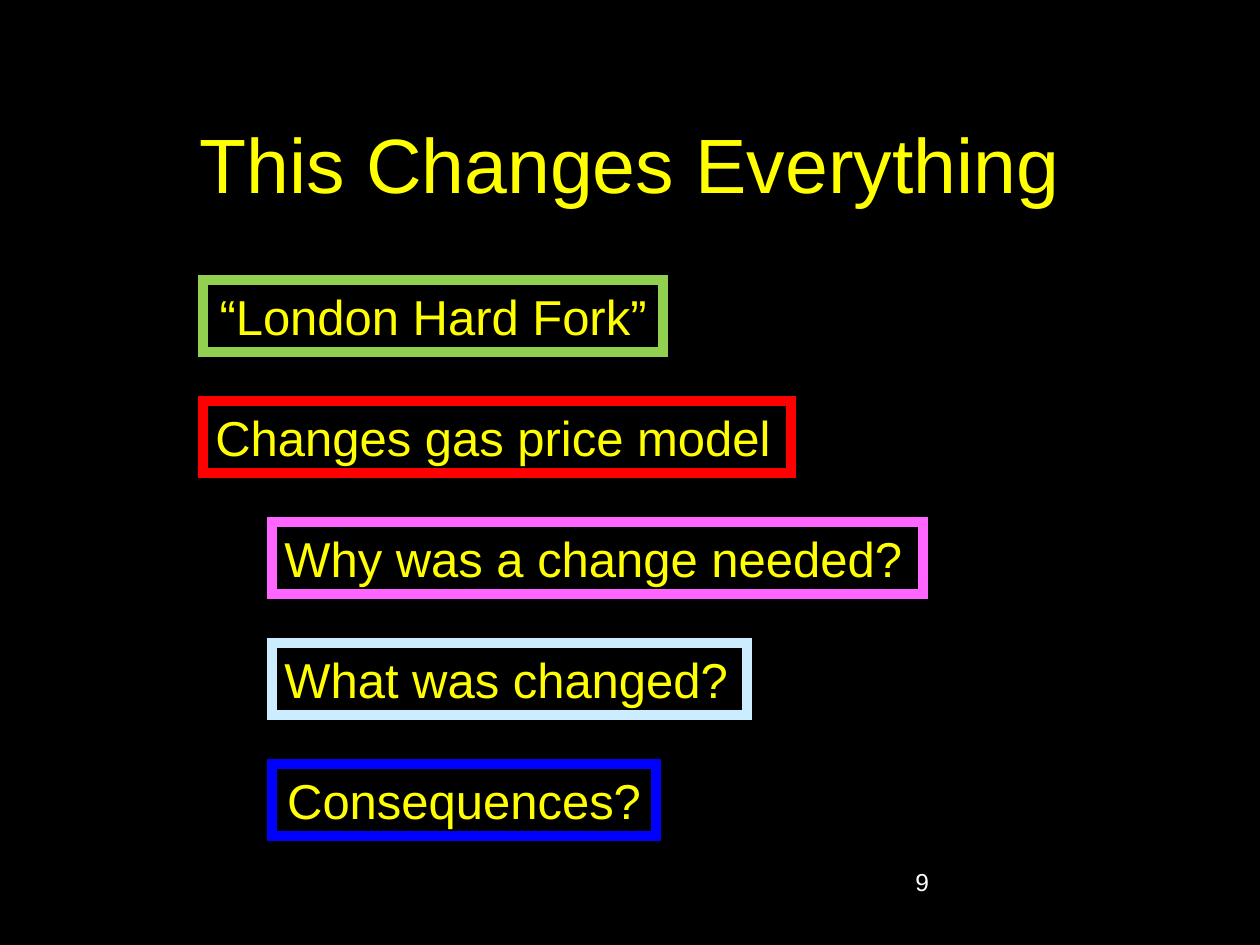
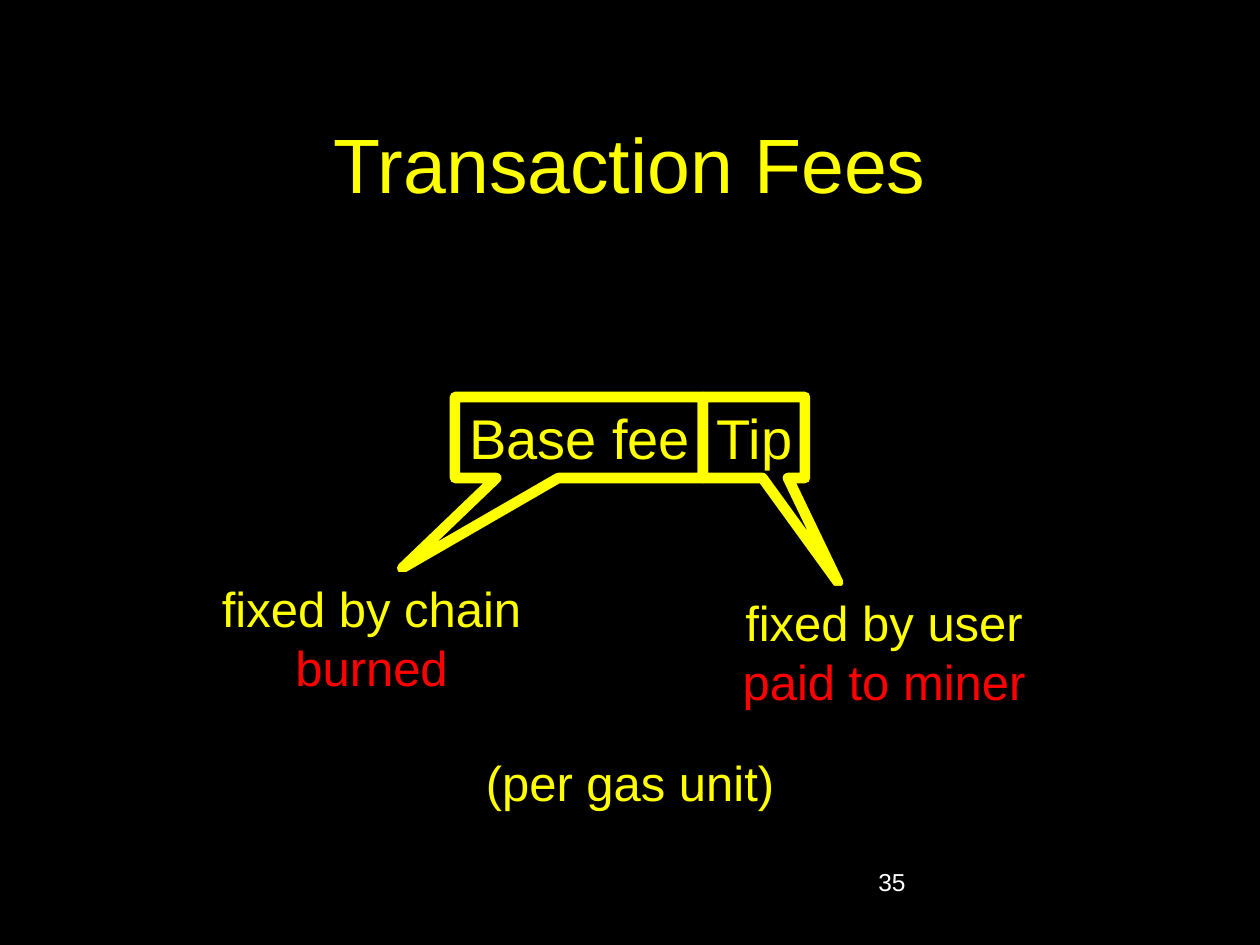
import pptx
import pptx.util
import pptx.dml.color
import pptx.enum.shapes
import pptx.enum.text
from lxml import etree

RGB = pptx.dml.color.RGBColor
SHAPE = pptx.enum.shapes.MSO_SHAPE
ALIGN = pptx.enum.text.PP_ALIGN
ANCHOR = pptx.enum.text.MSO_ANCHOR
AUTO = pptx.enum.text.MSO_AUTO_SIZE

BLACK = RGB(0x00, 0x00, 0x00)
WHITE = RGB(0xFF, 0xFF, 0xFF)
YELLOW = RGB(0xFF, 0xFF, 0x00)
RED = RGB(0xFF, 0x00, 0x00)
GREEN = RGB(0x92, 0xD0, 0x50)
PINK = RGB(0xFF, 0x66, 0xFF)
PALE = RGB(0xCC, 0xEC, 0xFF)
BLUE = RGB(0x00, 0x00, 0xFF)

FONT = "Arial"
BORDER = 6
PX = 914400 / 126  # EMU per pixel

# Agenda: text, border colour, indent level, width, alignment
AGENDA = [
    ("“London Hard Fork”", GREEN, 0, 460, ALIGN.CENTER),
    ("Changes gas price model", RED, 0, 588, ALIGN.LEFT),
    ("Why was a change needed?", PINK, 1, 651, ALIGN.LEFT),
    ("What was changed?", PALE, 1, 475, ALIGN.LEFT),
    ("Consequences?", BLUE, 1, 384, ALIGN.CENTER),
]
AGENDA_LEFT, AGENDA_TOP, AGENDA_STEP, INDENT, BOX_H = 203, 280, 121, 69, 72

# Fee parts, side by side: text, width, pointer tip as a share of the size
FEE_PARTS = [
    ("Base fee", 248, (-0.713, 1.613)),
    ("Tip", 102, (0.825, 1.789)),
]
FEE_LEFT, FEE_TOP, FEE_H = 455, 397, 81

# Fee notes: lines with colours, then left, top, width, height
FEE_NOTES = [
    ([("fixed by chain", YELLOW), ("burned", RED)], (207, 572, 329, 131)),
    ([("fixed by user", YELLOW), ("paid to miner", RED)], (728, 586, 312, 131)),
    ([("(per gas unit)", YELLOW)], (471, 746, 318, BOX_H)),
]


def emu(box):
    return [pptx.util.Emu(round(v * PX)) for v in box]


def write(sp, lines, size, align, anchor=ANCHOR.TOP, wrap=False):
    """Fill a shape with (text, colour) lines, one paragraph each."""
    tf = sp.text_frame
    tf.word_wrap = wrap
    tf.auto_size = AUTO.NONE if wrap else AUTO.SHAPE_TO_FIT_TEXT
    tf.vertical_anchor = anchor
    tf.text = "\n".join(text for text, _ in lines)
    for p, (_, color) in zip(tf.paragraphs, lines):
        p.alignment = align
        for r in p.runs:
            r.font.name = FONT
            r.font.size = pptx.util.Pt(size)
            r.font.color.rgb = color


def add_shape(slide, kind, box, fill=None, border=None, join="miter"):
    sp = slide.shapes.add_shape(kind, *emu(box))
    sp.shadow.inherit = False
    if fill is None:
        sp.fill.background()
    else:
        sp.fill.solid()
        sp.fill.fore_color.rgb = fill
    if border is None:
        sp.line.fill.background()
    else:
        sp.line.color.rgb = border
        sp.line.width = pptx.util.Pt(BORDER)
        ln = sp.line.fill._xPr
        corner = etree.SubElement(ln, pptx.oxml.ns.qn("a:" + join))
        if join == "miter":
            corner.set("lim", "800000")
    return sp


def new_slide(prs, title, number, number_left):
    """Black slide with its title and page number."""
    slide = prs.slides.add_slide(prs.slide_layouts[6])
    slide.background.fill.solid()
    slide.background.fill.fore_color.rgb = BLACK
    sp = slide.shapes.add_textbox(*emu((94, 84, 1072, 158)))
    write(sp, [(title, YELLOW)], 44, ALIGN.CENTER, ANCHOR.MIDDLE, wrap=True)
    sp = slide.shapes.add_textbox(*emu((number_left, 861, 262, 63)))
    write(sp, [(number, WHITE)], 14, ALIGN.LEFT, wrap=True)
    return slide


def build_agenda(prs):
    slide = new_slide(prs, "This Changes Everything", "9", 903)
    for i, (text, color, level, width, align) in enumerate(AGENDA):
        box = (AGENDA_LEFT + level * INDENT, AGENDA_TOP + i * AGENDA_STEP, width, BOX_H)
        sp = add_shape(slide, SHAPE.RECTANGLE, box, BLACK, color)
        write(sp, [(text, YELLOW)], 28, align)


def build_fees(prs):
    slide = new_slide(prs, "Transaction Fees", "35", 866)
    # Callouts
    left = FEE_LEFT
    for text, width, tip in FEE_PARTS:
        sp = add_shape(slide, SHAPE.RECTANGULAR_CALLOUT, (left, FEE_TOP, width, FEE_H),
                       border=YELLOW, join="round")
        sp.adjustments[0], sp.adjustments[1] = tip
        write(sp, [(text, YELLOW)], 32, ALIGN.RIGHT, ANCHOR.MIDDLE)
        left += width
    # Notes
    for lines, box in FEE_NOTES:
        sp = add_shape(slide, SHAPE.RECTANGLE, box, BLACK)
        write(sp, lines, 28, ALIGN.CENTER)


def main():
    prs = pptx.Presentation()
    prs.slide_width, prs.slide_height = emu((1260, 945))
    build_agenda(prs)
    build_fees(prs)
    prs.save("out.pptx")


if __name__ == "__main__":
    main()
